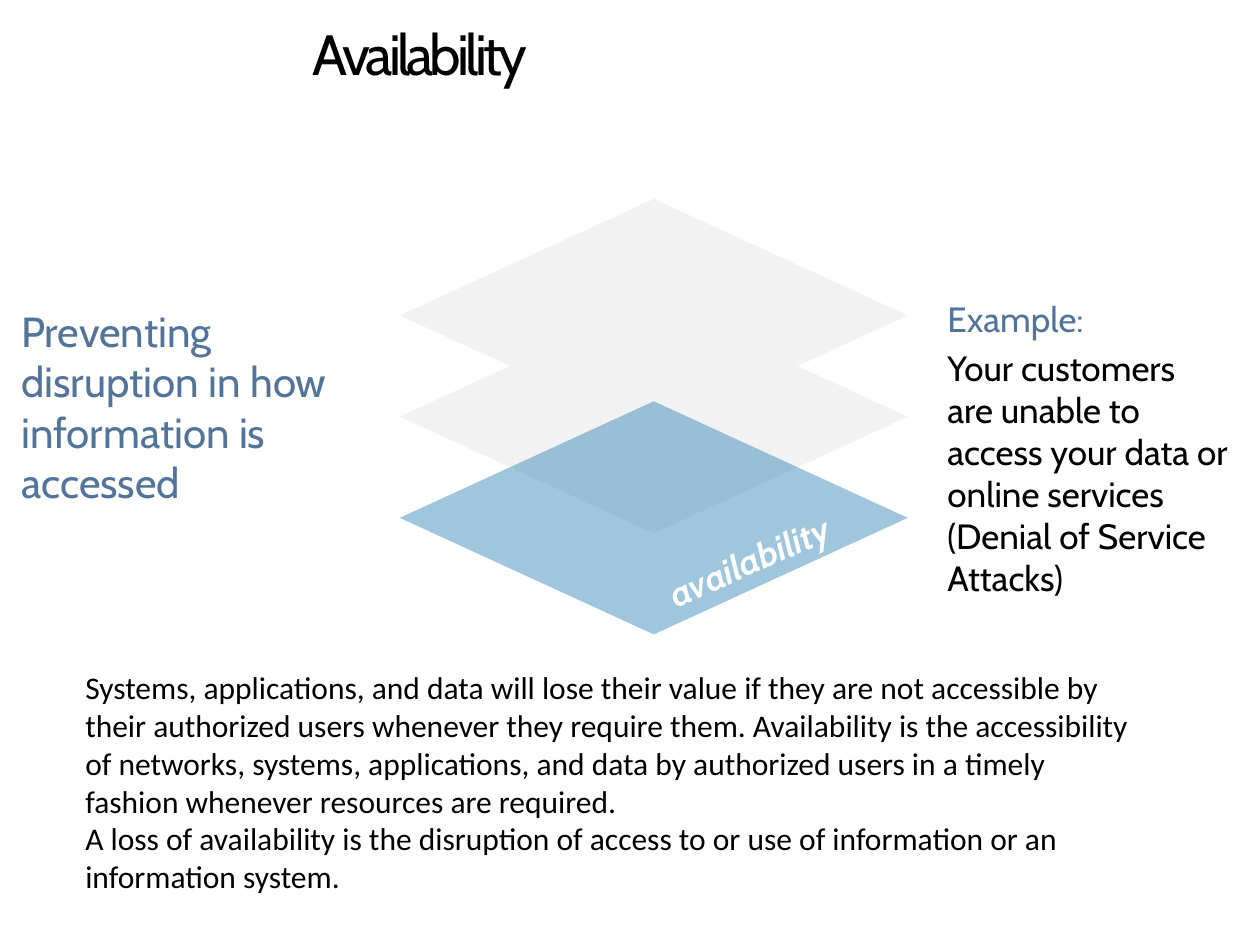
from lxml import etree
from pptx import Presentation
from pptx.dml.color import RGBColor
from pptx.enum import shapes, text
from pptx.oxml import ns
from pptx.util import Cm, Pt

BLACK = RGBColor(0x00, 0x00, 0x00)
WHITE = RGBColor(0xFF, 0xFF, 0xFF)
STEEL = RGBColor(0x53, 0x74, 0x9A)
BLUE = RGBColor(0x2B, 0x81, 0xB5)

# Each paragraph: words, space before in points, colour
TEXTS = [
    {"box": (1.47, 0.31, 14, 1.6), "insets": (0.25, 0.03, 0.25, 0.13),
     "font": {"name": "Cabin", "size": Pt(32.4)}, "spacing": -220,
     "align": text.PP_ALIGN.CENTER, "anchor": text.MSO_ANCHOR.MIDDLE,
     "paragraphs": [("Availability", 0, BLACK)]},
    {"box": (0.43, 6.13, 6.99, 6.27), "insets": (0, 0.03, 0, 0),
     "font": {"name": "Cabin", "size": Pt(24)},
     "paragraphs": [("Preventing disruption in how information is accessed", 0, STEEL)]},
    {"box": (19.1, 5.82, 5.72, 7.16), "insets": (0, 0.18, 0, 0),
     "font": {"name": "Cabin", "size": Pt(20)},
     "paragraphs": [
         ("Example:", 0, STEEL),
         ("Your customers\vare unable to access your data or online services "
          "(Denial of Service Attacks)", 4, BLACK)]},
    {"box": (1.47, 13.34, 21.59, 4.88), "insets": (0.25, 0.13, 0.25, 0.13),
     "font": {"name": "Calibri", "size": Pt(18)},
     "paragraphs": [
         ("Systems, applications, and data will lose their value if they are not "
          "accessible by their authorized users whenever they require them. "
          "Availability is the accessibility of networks, systems, applications, "
          "and data by authorized users in a timely fashion whenever resources "
          "are required.", 0, BLACK),
         ("A loss of availability is the disruption of access to or use of "
          "information or an information system.", 0, BLACK)]},
    {"box": (12.85, 10.75, 4.5, 1.1), "insets": (0, 0, 0, 0), "rotation": -24,
     "font": {"name": "Cabin", "size": Pt(20), "bold": True, "italic": True},
     "align": text.PP_ALIGN.CENTER, "anchor": text.MSO_ANCHOR.MIDDLE,
     "paragraphs": [("availability", 0, WHITE)]},
]

LAYER_LEFT, LAYER_TOP = 8.06, 4.01
LAYER_WIDTH, LAYER_HEIGHT, LAYER_STEP = 10.24, 4.7, 2.04


def fill_translucent(shape, color, opacity):
    shape.shadow.inherit = False
    shape.line.fill.background()
    shape.fill.solid()
    shape.fill.fore_color.rgb = color
    color_element = shape.fill._xPr.find(".//" + ns.qn("a:srgbClr"))
    etree.SubElement(color_element, ns.qn("a:alpha"), val=str(opacity * 1000))


def add_layers(slide):
    """Draw the joined outline of the two upper layers, then the lowest one."""
    middle_x = LAYER_LEFT + LAYER_WIDTH / 2
    right = LAYER_LEFT + LAYER_WIDTH
    upper_y = LAYER_TOP + LAYER_HEIGHT / 2
    lower_y = upper_y + LAYER_STEP
    notch_y = (upper_y + lower_y) / 2
    notch_inset = LAYER_WIDTH * LAYER_STEP / LAYER_HEIGHT / 2
    outline = [
        (right, upper_y), (middle_x, LAYER_TOP), (LAYER_LEFT, upper_y),
        (LAYER_LEFT + notch_inset, notch_y), (LAYER_LEFT, lower_y),
        (middle_x, LAYER_TOP + LAYER_STEP + LAYER_HEIGHT), (right, lower_y),
        (right - notch_inset, notch_y),
    ]
    points = [(Cm(x), Cm(y)) for x, y in outline]
    builder = slide.shapes.build_freeform(*points[0])
    builder.add_line_segments(points[1:], close=True)
    fill_translucent(builder.convert_to_shape(), BLACK, 5)

    lowest = slide.shapes.add_shape(
        shapes.MSO_SHAPE.DIAMOND, Cm(LAYER_LEFT), Cm(LAYER_TOP + 2 * LAYER_STEP),
        Cm(LAYER_WIDTH), Cm(LAYER_HEIGHT))
    fill_translucent(lowest, BLUE, 45)


def add_text(slide, content):
    shape = slide.shapes.add_textbox(*map(Cm, content["box"]))
    shape.rotation = content.get("rotation", 0)
    frame = shape.text_frame
    frame.word_wrap = True
    frame.vertical_anchor = content.get("anchor", text.MSO_ANCHOR.TOP)
    for side, inset in zip(("left", "top", "right", "bottom"), content["insets"]):
        setattr(frame, "margin_" + side, Cm(inset))
    for index, (words, space, color) in enumerate(content["paragraphs"]):
        paragraph = frame.add_paragraph() if index else frame.paragraphs[0]
        paragraph.text = words
        paragraph.alignment = content.get("align", text.PP_ALIGN.LEFT)
        paragraph.space_before = Pt(space)
        for run in paragraph.runs:
            for name, value in content["font"].items():
                setattr(run.font, name, value)
            run.font.color.rgb = color
            if "spacing" in content:
                run.font._element.set("spc", str(content["spacing"]))


def main():
    presentation = Presentation()
    presentation.slide_width, presentation.slide_height = Cm(25.4), Cm(19.05)
    slide = presentation.slides.add_slide(presentation.slide_layouts[6])
    add_layers(slide)
    for content in TEXTS:
        add_text(slide, content)
    presentation.save("out.pptx")


if __name__ == "__main__":
    main()
